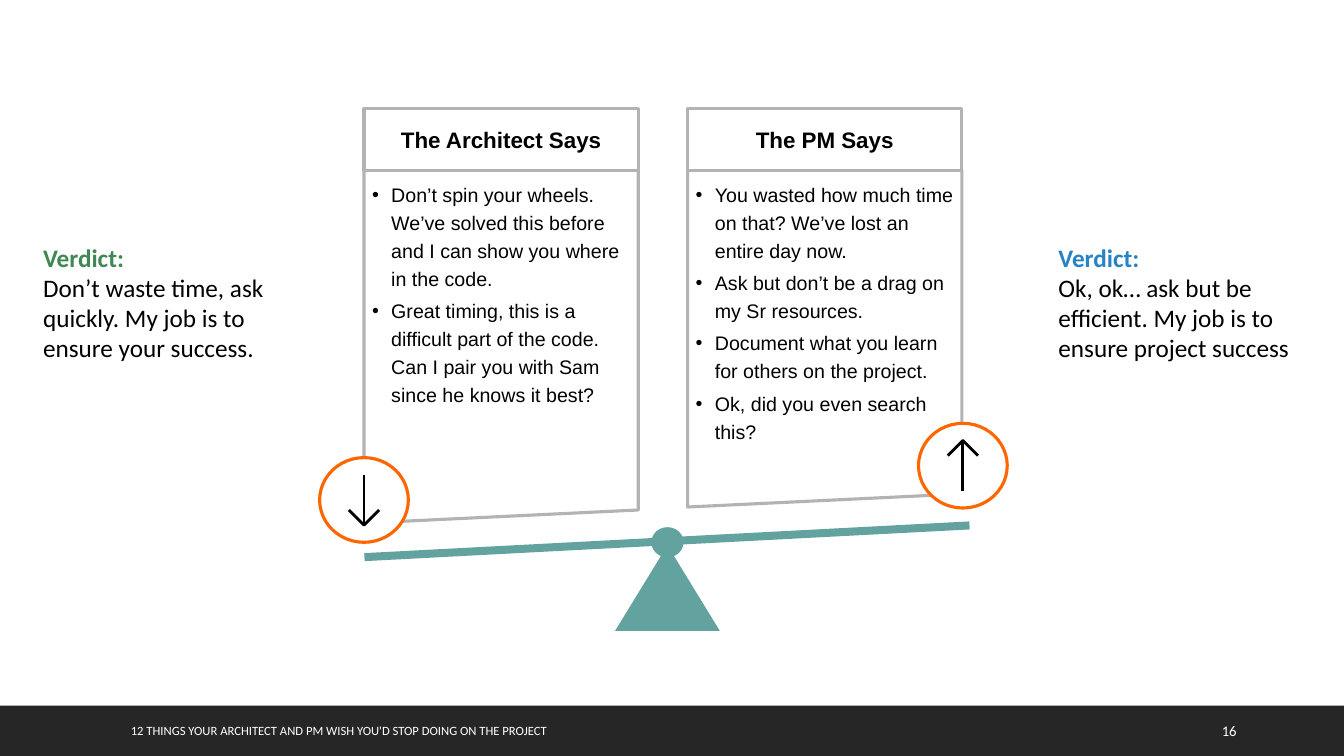
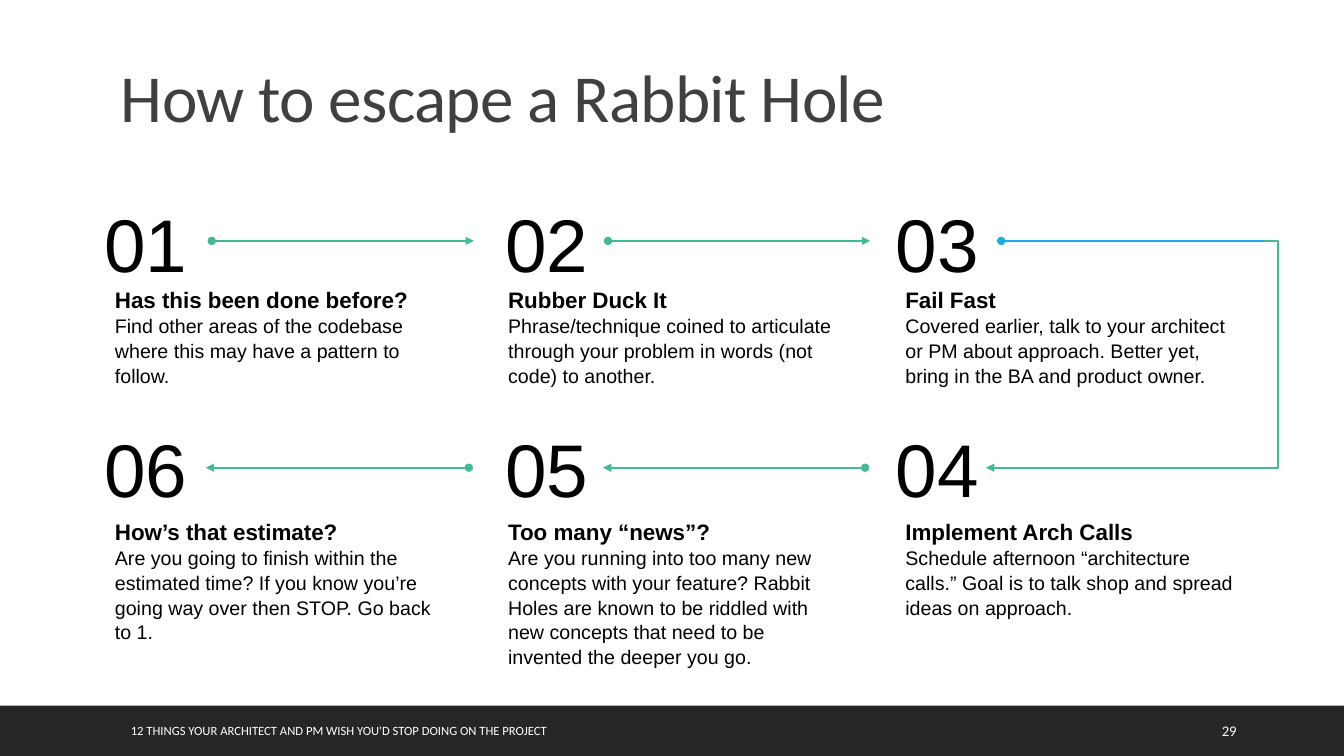
from lxml import etree
from pptx import Presentation
from pptx.dml.color import RGBColor
from pptx.enum.shapes import MSO_CONNECTOR as Link, MSO_SHAPE as Preset
from pptx.enum.text import MSO_ANCHOR as Anchor, MSO_AUTO_SIZE as AutoSize, PP_ALIGN as Align
from pptx.oxml.ns import qn
from pptx.util import Inches, Pt

COLORS = {
    "black": "000000", "white": "FFFFFF", "band": "262626", "title": "404040",
    "frame": "B3B3B3", "scale": "62A39F", "badge": "FF6600",
    "architect": "3E8853", "manager": "2683C6", "flow": "42BA97", "turn": "1CADE4",
}
FOOTER = "12 THINGS YOUR ARCHITECT AND PM WISH YOU'D STOP DOING ON THE PROJECT"
WIDTH, HEIGHT = 13.33, 7.5


def write(shape, lines, font="Arial", margins=(0.1, 0.05), align=Align.LEFT, anchor=Anchor.TOP):
    """Fill a shape with lines of (text, size, color, bold)."""
    frame = shape.text_frame
    frame.text = "\n".join(line[0] for line in lines)
    frame.word_wrap, frame.auto_size, frame.vertical_anchor = True, AutoSize.NONE, anchor
    frame.margin_left = frame.margin_right = Inches(margins[0])
    frame.margin_top = frame.margin_bottom = Inches(margins[1])
    for paragraph, (_, size, color, bold) in zip(frame.paragraphs, lines):
        paragraph.alignment = align
        for run in paragraph.runs:
            run.font.name, run.font.size, run.font.bold = font, Pt(size), bold
            run.font.color.rgb = RGBColor.from_string(COLORS[color])
    return frame


def paint(shape, fill, line=None, weight=2.25):
    """Give a shape a plain fill and outline, without shadow."""
    shape.shadow.inherit = False
    if fill:
        shape.fill.solid()
        shape.fill.fore_color.rgb = RGBColor.from_string(COLORS[fill])
    else:
        shape.fill.background()
    if line:
        shape.line.color.rgb = RGBColor.from_string(COLORS[line])
        shape.line.width = Pt(weight)
    else:
        shape.line.fill.background()
    return shape


presentation = Presentation()
presentation.slide_width, presentation.slide_height = Inches(WIDTH), Inches(HEIGHT)
balance = presentation.slides.add_slide(presentation.slide_layouts[6])
escape = presentation.slides.add_slide(presentation.slide_layouts[5])

# Shared footer band
for slide, number in ((balance, "16"), (escape, "29")):
    paint(slide.shapes.add_shape(Preset.RECTANGLE, 0, Inches(7), Inches(WIDTH), Inches(0.5)), "band")
    for left, width, text, size in ((1.2, 7.46, FOOTER, 9), (12.02, 0.85, number, 10.5)):
        box = slide.shapes.add_textbox(Inches(left), Inches(7.05), Inches(width), Inches(0.4))
        write(box, [(text, size, "white", False)], "Calibri", anchor=Anchor.MIDDLE)

# Balance: two panels with headers
PANEL_WIDTH, HEADER_TOP, PANEL_TOP = 2.72, 1.08, 1.69
panels = [
    (3.61, 5.19, "The Architect Says", [
        "Don’t spin your wheels. We’ve solved this before and I can show you where in the code.",
        "Great timing, this is a difficult part of the code. Can I pair you with Sam since he knows it best?",
    ]),
    (6.82, 5.03, "The PM Says", [
        "You wasted how much time on that? We’ve lost an entire day now.",
        "Ask but don’t be a drag on my Sr resources.",
        "Document what you learn for others on the project.",
        "Ok, did you even search this?",
    ]),
]
for left, bottom, heading, points in panels:
    right = left + PANEL_WIDTH
    outline = balance.shapes.build_freeform(Inches(left), Inches(PANEL_TOP))
    outline.add_line_segments([
        (Inches(right), Inches(PANEL_TOP)),
        (Inches(right), Inches(bottom - 0.13)),
        (Inches(left), Inches(bottom)),
    ], close=True)
    panel = paint(outline.convert_to_shape(), "white", "frame")
    frame = write(panel, [(point, 14, "black", False) for point in points], margins=(0.08, 0.08))
    for paragraph in frame.paragraphs:
        paragraph.line_spacing, paragraph.space_after = Pt(20), Pt(3)
        properties = paragraph._p.get_or_add_pPr()
        properties.set("marL", str(Inches(0.19)))
        properties.set("indent", str(Inches(-0.19)))
        etree.SubElement(properties, qn("a:buFont"), typeface="Arial")
        etree.SubElement(properties, qn("a:buChar"), char="•")

    header = balance.shapes.add_shape(Preset.RECTANGLE, Inches(left), Inches(HEADER_TOP),
                                      Inches(PANEL_WIDTH), Inches(PANEL_TOP - HEADER_TOP))
    write(paint(header, "white", "frame"), [(heading, 16, "black", True)],
          margins=(0.08, 0.08), align=Align.CENTER, anchor=Anchor.MIDDLE)

# Balance: beam, stand and pivot
for preset, left, top, width, height, turn in (
    (Preset.RECTANGLE, 3.61, 5.33, 6.01, 0.08, -3),
    (Preset.ISOSCELES_TRIANGLE, 6.1, 5.41, 1.04, 0.85, 0),
    (Preset.OVAL, 6.46, 5.23, 0.32, 0.3, 0),
):
    part = balance.shapes.add_shape(preset, Inches(left), Inches(top), Inches(width), Inches(height))
    paint(part, "scale").rotation = turn

# Balance: round badges with a down and an up arrow
for center_x, center_y, direction in ((3.61, 4.96, 1), (9.55, 4.62, -1)):
    badge = balance.shapes.add_shape(Preset.OVAL, Inches(center_x - 0.44), Inches(center_y - 0.42),
                                     Inches(0.88), Inches(0.84))
    paint(badge, "white", "badge")
    tip, tail = center_y + 0.25 * direction, center_y - 0.25 * direction
    barb = tip - 0.15 * direction
    arrow = balance.shapes.build_freeform(Inches(center_x), Inches(tail))
    arrow.add_line_segments([(Inches(center_x), Inches(tip))], close=False)
    arrow.move_to(Inches(center_x - 0.15), Inches(barb))
    arrow.add_line_segments([(Inches(center_x), Inches(tip)),
                             (Inches(center_x + 0.15), Inches(barb))], close=False)
    paint(arrow.convert_to_shape(), None, "black", 2)

# Balance: verdicts on both sides
for left, color, verdict in (
    (0.33, "architect", "Don’t waste time, ask quickly. My job is to ensure your success."),
    (10.4, "manager", "Ok, ok… ask but be efficient. My job is to ensure project success"),
):
    box = balance.shapes.add_textbox(Inches(left), Inches(2.35), Inches(2.94), Inches(1.31))
    write(box, [("Verdict:", 18, color, True), (verdict, 18, "black", False)], "Calibri")

# Escape: title
title = escape.shapes.title
title.left, title.top, title.width, title.height = Inches(1.1), Inches(0.34), Inches(7.89), Inches(1.07)
frame = write(title, [("How to escape a Rabbit Hole", 48, "title", False)], "Calibri", anchor=Anchor.BOTTOM)
frame.paragraphs[0].line_spacing = 0.9
frame.paragraphs[0].runs[0].font._element.set("spc", "-50")

# Escape: six steps on a grid of three columns and two rows
NUMBER_LEFTS, TEXT_LEFTS = (1.03, 5.01, 8.88), (1.14, 5.04, 8.98)
NUMBER_TOPS, TEXT_TOPS, ARROW_ROWS = (1.96, 4.2), (2.84, 5.14), (2.39, 4.64)
steps = [
    ("01", 0, 0, "Has this been done before?",
     "Find other areas of the codebase where this may have a pattern to follow."),
    ("02", 1, 0, "Rubber Duck It",
     "Phrase/technique coined to articulate through your problem in words (not code) to another."),
    ("03", 2, 0, "Fail Fast",
     "Covered earlier, talk to your architect or PM about approach. "
     "Better yet, bring in the BA and product owner."),
    ("04", 2, 1, "Implement Arch Calls",
     "Schedule afternoon “architecture calls.” Goal is to talk shop and spread ideas on approach."),
    ("05", 1, 1, "Too many “news”?",
     "Are you running into too many new concepts with your feature? Rabbit Holes are known to be "
     "riddled with new concepts that need to be invented the deeper you go."),
    ("06", 0, 1, "How’s that estimate?",
     "Are you going to finish within the estimated time? If you know you’re going way over then "
     "STOP. Go back to 1."),
]
for number, column, row, heading, body in steps:
    box = escape.shapes.add_textbox(Inches(NUMBER_LEFTS[column]), Inches(NUMBER_TOPS[row]),
                                    Inches(0.83), Inches(0.9))
    write(box, [(number, 53.3, "black", False)], margins=(0, 0), align=Align.CENTER).word_wrap = False
    box = escape.shapes.add_textbox(Inches(TEXT_LEFTS[column]), Inches(TEXT_TOPS[row]),
                                    Inches(3.3), Inches(1.07))
    frame = write(box, [(heading, 16, "black", True), (body, 14, "black", False)], margins=(0, 0))
    frame.paragraphs[1].line_spacing = 1.05

# Escape: arrows from step to step
upper, lower = ARROW_ROWS
for kind, start_x, start_y, end_x, end_y, color, head, tail in (
    (Link.STRAIGHT, 2.1, upper, 4.7, upper, "flow", "oval", "triangle"),
    (Link.STRAIGHT, 6.03, upper, 8.63, upper, "flow", "oval", "triangle"),
    (Link.STRAIGHT, 9.93, upper, 12.54, upper, "turn", "oval", "none"),
    (Link.ELBOW, 12.54, upper, 9.78, lower, "flow", "none", "triangle"),
    (Link.STRAIGHT, 8.58, lower, 5.98, lower, "flow", "oval", "triangle"),
    (Link.STRAIGHT, 4.65, lower, 2.04, lower, "flow", "oval", "triangle"),
):
    connector = escape.shapes.add_connector(kind, Inches(start_x), Inches(start_y),
                                            Inches(end_x), Inches(end_y))
    connector.line.color.rgb = RGBColor.from_string(COLORS[color])
    connector.line.width = Pt(1.5)
    properties = connector._element.spPr
    outline = properties.find(qn("a:ln"))
    etree.SubElement(outline, qn("a:headEnd"), type=head)
    etree.SubElement(outline, qn("a:tailEnd"), type=tail)
    etree.SubElement(properties, qn("a:effectLst"))
    if kind == Link.ELBOW:
        guides = properties.find(qn("a:prstGeom")).find(qn("a:avLst"))
        etree.SubElement(guides, qn("a:gd"), name="adj1", fmla="val -5000")

presentation.save("out.pptx")
